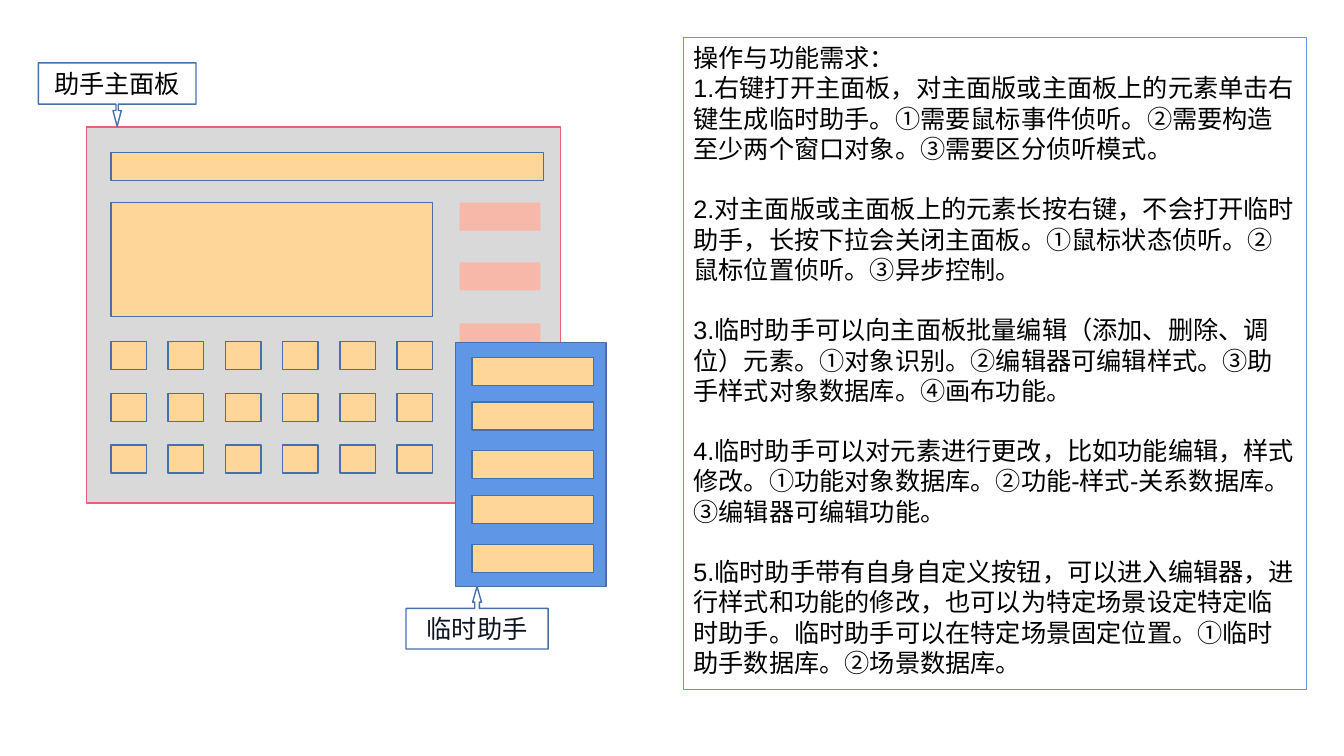
from pptx import Presentation
from pptx.dml.color import RGBColor
from pptx.enum.shapes import MSO_SHAPE as Geometry
from pptx.enum.text import MSO_ANCHOR as Anchor, PP_ALIGN as Align
from pptx.util import Pt

BLUE, PEACH, SALMON, OUTLINE = "6096E6", "FFD699", "F7B8A9", "476FAA"


def paint(color_format, color):
    color_format.rgb = RGBColor.from_string(color)


def add_block(shapes, box, fill=None, line=None, weight=1, geometry=Geometry.RECTANGLE):
    block = shapes.add_shape(geometry, *[Pt(length) for length in box])
    block.shadow.inherit = False
    if fill:
        block.fill.solid()
        paint(block.fill.fore_color, fill)
    else:
        block.fill.background()
    if line:
        paint(block.line.color, line)
        block.line.width = Pt(weight)
    else:
        block.line.fill.background()
    return block


prs = Presentation()
prs.slide_width, prs.slide_height = Pt(960), Pt(540)
slide = prs.slides.add_slide(prs.slide_layouts[6])
shapes = slide.shapes

add_block(shapes, (62, 90.7, 338.4, 268.6), "D9D9D9", "EC5F74")

requirements = add_block(shapes, (488.2, 26.8, 444.6, 465.4), None, BLUE, 0.5)
requirement_texts = [
    "操作与功能需求：",
    "1.右键打开主面板，对主面版或主面板上的元素单击右键生成临时助手。①需要鼠标事件侦听。②需要构造至少两个窗口对象。③需要区分侦听模式。",
    "2.对主面版或主面板上的元素长按右键，不会打开临时助手，长按下拉会关闭主面板。①鼠标状态侦听。②鼠标位置侦听。③异步控制。",
    "3.临时助手可以向主面板批量编辑（添加、删除、调位）元素。①对象识别。②编辑器可编辑样式。③助手样式对象数据库。④画布功能。",
    "4.临时助手可以对元素进行更改，比如功能编辑，样式修改。①功能对象数据库。②功能-样式-关系数据库。③编辑器可编辑功能。",
    "5.临时助手带有自身自定义按钮，可以进入编辑器，进行样式和功能的修改，也可以为特定场景设定特定临时助手。临时助手可以在特定场景固定位置。①临时助手数据库。②场景数据库。",
]
requirements.text_frame.text = "\n".join(requirement_texts)
requirements.text_frame.word_wrap = True
requirements.text_frame.vertical_anchor = Anchor.TOP
for index, paragraph in enumerate(requirements.text_frame.paragraphs):
    paragraph_format = {
        "alignment": Align.LEFT,
        "space_before": Pt(21.6 if index > 1 else 0),
    }
    for key, value in paragraph_format.items():
        setattr(paragraph, key, value)
    for key, value in {"size": Pt(18), "name": "Arial"}.items():
        setattr(paragraph.font, key, value)
    paint(paragraph.font.color, "000000")

for row in range(3):
    for column in range(6):
        add_block(shapes, (79.2 + 40.9 * column, 244 + 37 * row, 25.4, 20), PEACH, OUTLINE)

for box in [(79.2, 108.9, 309, 20), (79.2, 144.8, 230, 81.2)]:
    add_block(shapes, box, PEACH, OUTLINE)

for top in [144.8, 187.4, 231]:
    add_block(shapes, (328.4, top, 57.6, 20), SALMON)

helper_menu = shapes.add_group_shape()
add_block(helper_menu.shapes, (325.6, 244.8, 107.2, 174), BLUE, OUTLINE)
for top in [255.6, 287.3, 321.8, 353.8, 388.8]:
    add_block(helper_menu.shapes, (337, top, 87, 20), PEACH, OUTLINE)

callouts = [
    ("助手主面板", (27.4, 44.9, 112.6, 45.4), Geometry.DOWN_ARROW_CALLOUT,
     (0.036, 0.066, 0.25, 0.65), "000000"),
    ("临时助手", (290, 419, 101.5, 44.6), Geometry.UP_ARROW_CALLOUT,
     (0.072, 0.071, 0.25, 0.65), "0F1423"),
]
for label, box, geometry, proportions, color in callouts:
    callout = add_block(shapes, box, "FFFFFF", OUTLINE, geometry=geometry)
    for index, proportion in enumerate(proportions):
        callout.adjustments[index] = proportion
    callout.text_frame.text = label
    callout.text_frame.word_wrap = True
    callout.text_frame.vertical_anchor = Anchor.MIDDLE
    caption = callout.text_frame.paragraphs[0]
    caption.alignment = Align.CENTER
    for key, value in {"size": Pt(18), "name": "Arial"}.items():
        setattr(caption.font, key, value)
    paint(caption.font.color, color)

prs.save("out.pptx")
